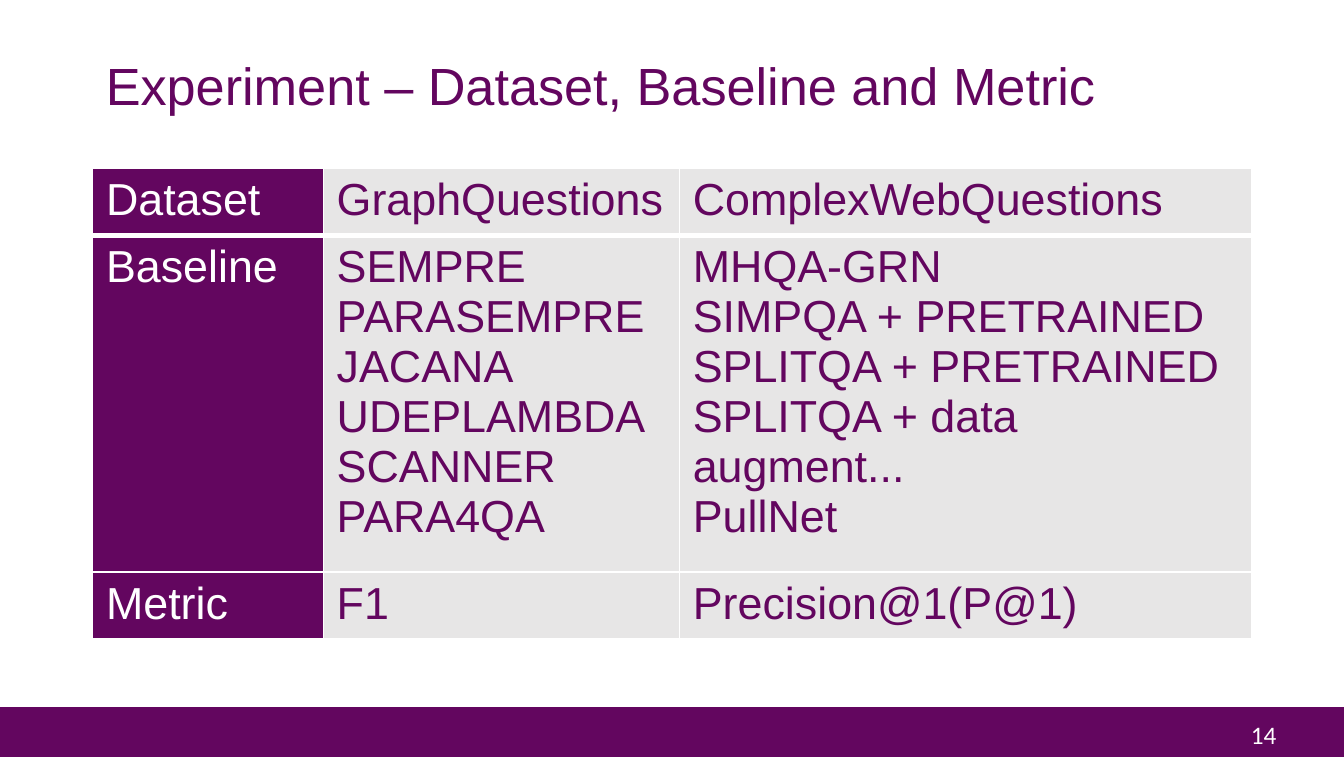
"""Build the slide on dataset, baseline and metric."""
from dataclasses import dataclass

import lxml.etree
import pptx
import pptx.dml.color
import pptx.enum.shapes
import pptx.enum.text
import pptx.oxml.ns
import pptx.util

Cm = pptx.util.Cm
Pt = pptx.util.Pt


@dataclass(frozen=True)
class Theme:
    """Colours, fonts and type sizes of the deck."""
    purple: str = "63065F"
    grey: str = "E7E6E6"
    white: str = "FFFFFF"
    font: str = "Arial"
    number_font: str = "Calibri"
    title_size: float = 28
    table_size: float = 24
    number_size: float = 13.5


THEME = Theme()
COLUMN_WIDTHS = (4.36, 6.73, 10.81)
ROW_HEIGHTS = (0.81, 4.11, 0.81)
TABLE_HEIGHT = 8.89
ROWS = (
    ("Dataset", "GraphQuestions", "ComplexWebQuestions"),
    (
        "Baseline",
        "SEMPRE\nPARASEMPRE\nJACANA\nUDEPLAMBDA\nSCANNER\nPARA4QA",
        "MHQA-GRN\nSIMPQA + PRETRAINED\nSPLITQA + PRETRAINED\n"
        "SPLITQA + data augment...\nPullNet",
    ),
    ("Metric", "F1", "Precision@1(P@1)"),
)


def rgb(colour):
    """Return a colour object for a hex string."""
    return pptx.dml.color.RGBColor.from_string(colour)


def write_text(frame, text, *, size, colour, font=THEME.font, spacing=None):
    """Fill a text frame with one paragraph for each line of text."""
    for index, line in enumerate(text.split("\n")):
        para = frame.add_paragraph() if index else frame.paragraphs[0]
        if spacing:
            para.line_spacing = spacing
        span = para.add_run()
        span.text = line
        span.font.name = font
        span.font.size = Pt(size)
        span.font.color.rgb = rgb(colour)


def add_text(page, text, bounds, *, wrap=True, **text_format):
    """Add a vertically centred text box."""
    box = page.shapes.add_textbox(*map(Cm, bounds))
    box.text_frame.word_wrap = wrap
    box.text_frame.vertical_anchor = pptx.enum.text.MSO_ANCHOR.MIDDLE
    write_text(box.text_frame, text, **text_format)


def add_band(page, bounds, colour):
    """Add a plain filled rectangle."""
    band = page.shapes.add_shape(
        pptx.enum.shapes.MSO_SHAPE.RECTANGLE, *map(Cm, bounds))
    band.shadow.inherit = False
    band.fill.solid()
    band.fill.fore_color.rgb = rgb(colour)
    band.line.fill.background()


def set_borders(cell, colour, widths):
    """Draw the cell borders, with widths in points keyed by side."""
    qn = pptx.oxml.ns.qn
    properties = cell._tc.get_or_add_tcPr()
    for side, width in widths.items():
        line = lxml.etree.SubElement(
            properties, qn(f"a:ln{side}"), w=str(int(Pt(width))))
        fill = lxml.etree.SubElement(line, qn("a:solidFill"))
        lxml.etree.SubElement(fill, qn("a:srgbClr"), val=colour)


def add_comparison(page, left, top):
    """Add the table with a purple heading column."""
    frame = page.shapes.add_table(
        len(ROWS), len(COLUMN_WIDTHS), Cm(left), Cm(top),
        Cm(sum(COLUMN_WIDTHS)), Cm(TABLE_HEIGHT))
    table = frame.table
    table.first_row = table.horz_banding = False
    table.first_col = True
    for column, width in zip(table.columns, COLUMN_WIDTHS):
        column.width = Cm(width)
    for row_index, (height, texts) in enumerate(zip(ROW_HEIGHTS, ROWS)):
        table.rows[row_index].height = Cm(height)
        widths = {"L": 1, "R": 1, "T": 3 if row_index == 1 else 1,
                  "B": 3 if row_index == 0 else 1}
        for column_index, text in enumerate(texts):
            heading = column_index == 0
            cell = table.cell(row_index, column_index)
            set_borders(cell, THEME.white, widths)
            cell.fill.solid()
            cell.fill.fore_color.rgb = rgb(
                THEME.purple if heading else THEME.grey)
            write_text(cell.text_frame, text, size=THEME.table_size,
                       colour=THEME.white if heading else THEME.purple)
    frame.height = Cm(TABLE_HEIGHT)


def main():
    """Build and save the deck."""
    deck = pptx.Presentation()
    deck.slide_width, deck.slide_height = Cm(25.4), Cm(14.3)
    page = deck.slides.add_slide(deck.slide_layouts[6])
    add_band(page, (0, 13.36, 25.4, 0.94), THEME.purple)
    add_text(page, "14", (23.39, 13.46, 1.09, 0.84), wrap=False,
             size=THEME.number_size, colour=THEME.white,
             font=THEME.number_font)
    add_text(page, "Experiment – Dataset, Baseline and Metric",
             (1.75, 0.99, 21.9, 1.37), size=THEME.title_size,
             colour=THEME.purple, spacing=0.9)
    add_comparison(page, 1.75, 3.18)
    deck.save("out.pptx")


main()
